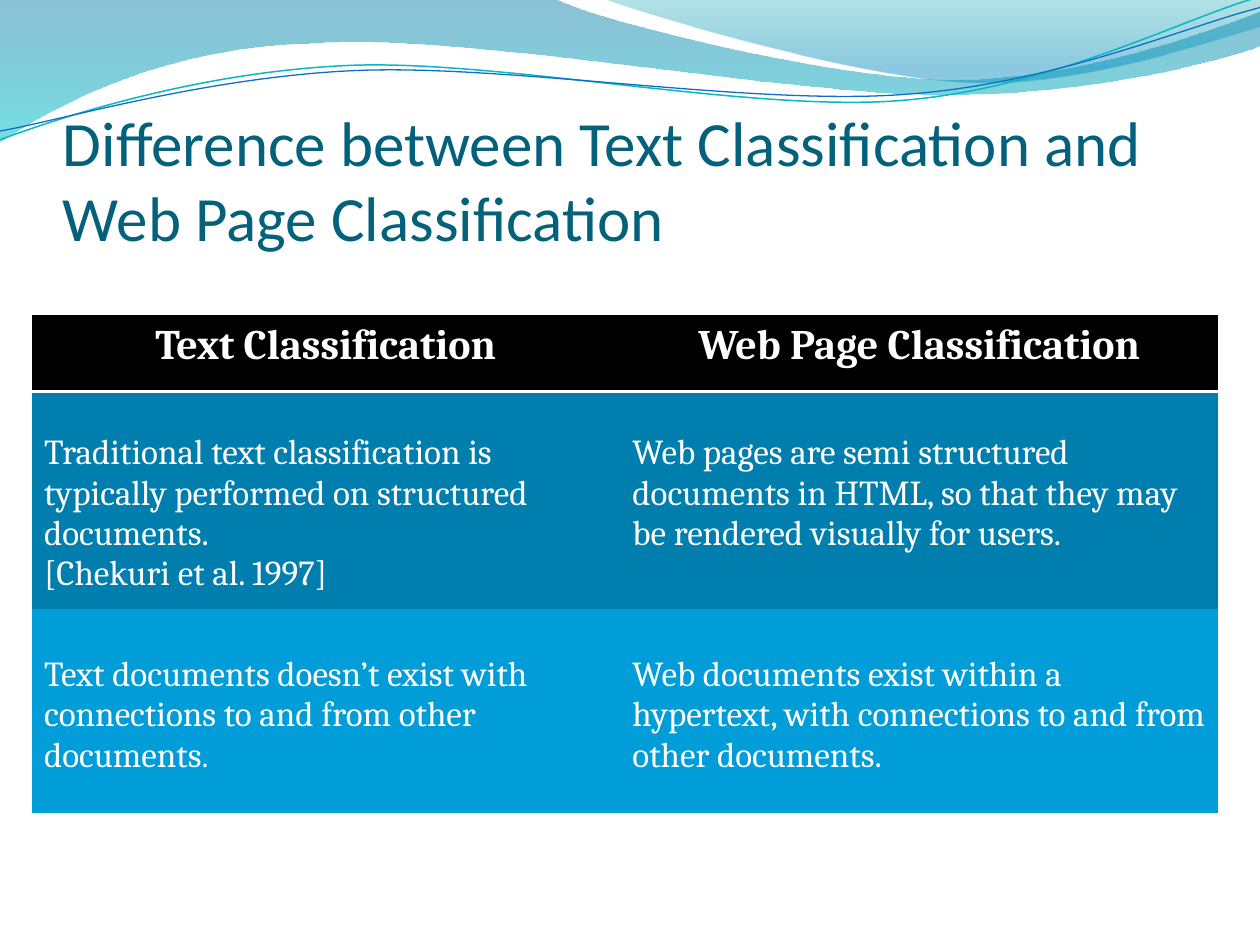
from lxml import etree
from pptx import Presentation
from pptx.dml.color import RGBColor
from pptx.enum import text
from pptx.oxml import parse_xml
from pptx.oxml.ns import nsdecls, qn
from pptx.util import Inches, Pt

BAND = [(0, 0), (4.4, -0.01), (4.76, 0.17, 6.64, 0.63, 7.58, 0.63),
        (8.53, 0.63, 9.58, 0.26, 10, 0.09), (10.01, 0.36),
        (9.83, 0.44, 8.7, 0.76, 7.46, 0.75), (6.22, 0.75, 3.82, 0.28, 2.57, 0.34),
        (1.29, 0.36, 0.46, 0.83, -0.01, 1.13)]
CORNER = [(4.79, -0.01), (5.09, 0.11, 6.82, 0.62, 7.69, 0.65),
          (8.56, 0.69, 9.61, 0.32, 10, 0.21), (10, 0)]
TEAL_WAVE = [(0, 1.11), (0.48, 0.93, 1.58, 0.57, 2.77, 0.52),
             (3.95, 0.47, 5.93, 0.89, 7.13, 0.8), (8.33, 0.71, 9.38, 0.15, 9.98, -0.02)]
BLUE_WAVE = [(0, 1.04), (0.47, 0.96, 1.64, 0.61, 2.83, 0.56),
             (4.03, 0.51, 5.97, 0.84, 7.17, 0.75), (8.36, 0.67, 9.41, 0.21, 10, 0.06)]
HEADERS = ["Text Classification", "Web Page Classification"]
ROWS = [
    (1.72, "007EAE", 0.33, [
        [[("Traditional text classification is typically performed on structured "
           "documents.", 20)],
         [("[Chekuri et al. 1997]", 20)]],
        [[("Web pages are semi structured documents in HTML, so that they may be "
           "rendered visually for users.", 20)]]]),
    (1.62, "009DD9", 0.37, [
        [[("Text documents doesn’t exist with connections to and from other "
           "documents", 20), (".", 18)]],
        [[("Web documents exist within a hypertext, with connections to and from "
           "other documents.", 20)]]]),
]


def rgb(value):
    """Return the colour for a hex string."""
    return RGBColor.from_string(value)


def bend(sp, path):
    """Turn the straight segments that have control points into cubic curves."""
    lines = list(sp.element.spPr.iter(qn("a:lnTo")))
    for line, seg in zip(lines, path[1:]):
        if len(seg) == 6:
            curve = etree.Element(qn("a:cubicBezTo"))
            for x, y in zip(seg[::2], seg[1::2]):
                pt = etree.SubElement(curve, qn("a:pt"))
                pt.set("x", str(Inches(x) - sp.left))
                pt.set("y", str(Inches(y) - sp.top))
            line.getparent().replace(line, curve)


def add_curve(s, path, close):
    """Add a shadowless freeform along a path."""
    points = [(Inches(seg[-2]), Inches(seg[-1])) for seg in path]
    fb = s.shapes.build_freeform(*points[0])
    fb.add_line_segments(points[1:], close=close)
    sp = fb.convert_to_shape()
    bend(sp, path)
    sp.shadow.inherit = False
    return sp


def add_band(s, path, stops):
    """Add a closed shape with a translucent vertical gradient."""
    sp = add_curve(s, path, True)
    sp.line.fill.background()
    sp.fill.gradient()
    sp.fill.gradient_angle = 270
    for stop, (position, color, _) in zip(sp.fill.gradient_stops, stops):
        stop.position = position
        stop.color.rgb = rgb(color)
    for clr, (_, _, alpha) in zip(sp.element.spPr.iter(qn("a:srgbClr")), stops):
        etree.SubElement(clr, qn("a:alpha")).set("val", str(alpha * 1000))


def add_wave(s, path, color, width):
    """Add an open curved line."""
    sp = add_curve(s, path, False)
    sp.fill.background()
    sp.line.color.rgb = rgb(color)
    sp.line.width = Pt(width)


def add_run(p, words, size, font, color, bold=False):
    """Add one formatted run to a paragraph."""
    r = p.add_run()
    r.text = words
    r.font.size, r.font.name, r.font.bold = Pt(size), font, bold
    r.font.color.rgb = rgb(color)


def add_title(s, words):
    """Add the slide title, anchored at the bottom of its box."""
    tf = s.shapes.add_textbox(Inches(0.5), Inches(0.77), Inches(9), Inches(1.25)).text_frame
    tf.word_wrap = True
    tf.vertical_anchor = text.MSO_ANCHOR.BOTTOM
    tf.margin_left = tf.margin_right = tf.margin_bottom = 0
    add_run(tf.paragraphs[0], words, 36, "Calibri", "04617B")


def fill_cell(cell, color, paragraphs, bold=False, align=None):
    """Fill a table cell with a colour and paragraphs of sized runs."""
    cell.fill.solid()
    cell.fill.fore_color.rgb = rgb(color)
    tf = cell.text_frame
    for i, runs in enumerate(paragraphs):
        p = tf.add_paragraph() if i else tf.paragraphs[0]
        p.alignment = align
        for words, size in runs:
            add_run(p, words, size, "Cambria", "FFFFFF", bold)


def underline_cell(cell, color, width):
    """Draw the bottom border of a cell."""
    border = parse_xml(
        f'<a:lnB {nsdecls("a")} w="{Pt(width)}"><a:solidFill>'
        f'<a:srgbClr val="{color}"/></a:solidFill></a:lnB>')
    cell._tc.get_or_add_tcPr().insert(0, border)


def add_comparison(s):
    """Add the table that compares the two kinds of classification."""
    frame = s.shapes.add_table(3, 2, Inches(0.25), Inches(2.5), Inches(9.42), Inches(3.95))
    table = frame.table
    table.horz_banding = False
    style = table._tbl.tblPr.find(qn("a:tableStyleId"))
    style.text = "{2D5ABB26-0587-4C30-8999-92F81FD0307C}"
    for col, width in zip(table.columns, (4.67, 4.75)):
        col.width = Inches(width)
    table.rows[0].height = Inches(0.61)
    for cell, words in zip(table.rows[0].cells, HEADERS):
        fill_cell(cell, "000000", [[(words, 24)]], True, text.PP_ALIGN.CENTER)
        underline_cell(cell, "FFFFFF", 2)
    for row, (height, color, top, contents) in zip(list(table.rows)[1:], ROWS):
        row.height = Inches(height)
        for cell, paragraphs in zip(row.cells, contents):
            cell.margin_top = Inches(top)
            fill_cell(cell, color, paragraphs)


def main():
    """Build the slide and save it."""
    prs = Presentation()
    prs.slide_width, prs.slide_height = Inches(10), Inches(7.5)
    s = prs.slides.add_slide(prs.slide_layouts[6])
    add_band(s, BAND, [(0, "0074A1", 45), (1, "00C6CF", 55)])
    add_band(s, CORNER, [(0, "00A1A9", 30), (0.8, "008BBF", 45)])
    add_wave(s, TEAL_WAVE, "0AB8BF", 0.85)
    add_wave(s, BLUE_WAVE, "0F6FC6", 0.75)
    add_title(s, "Difference between Text Classification and Web Page Classification")
    add_comparison(s)
    prs.save("out.pptx")


if __name__ == "__main__":
    main()
